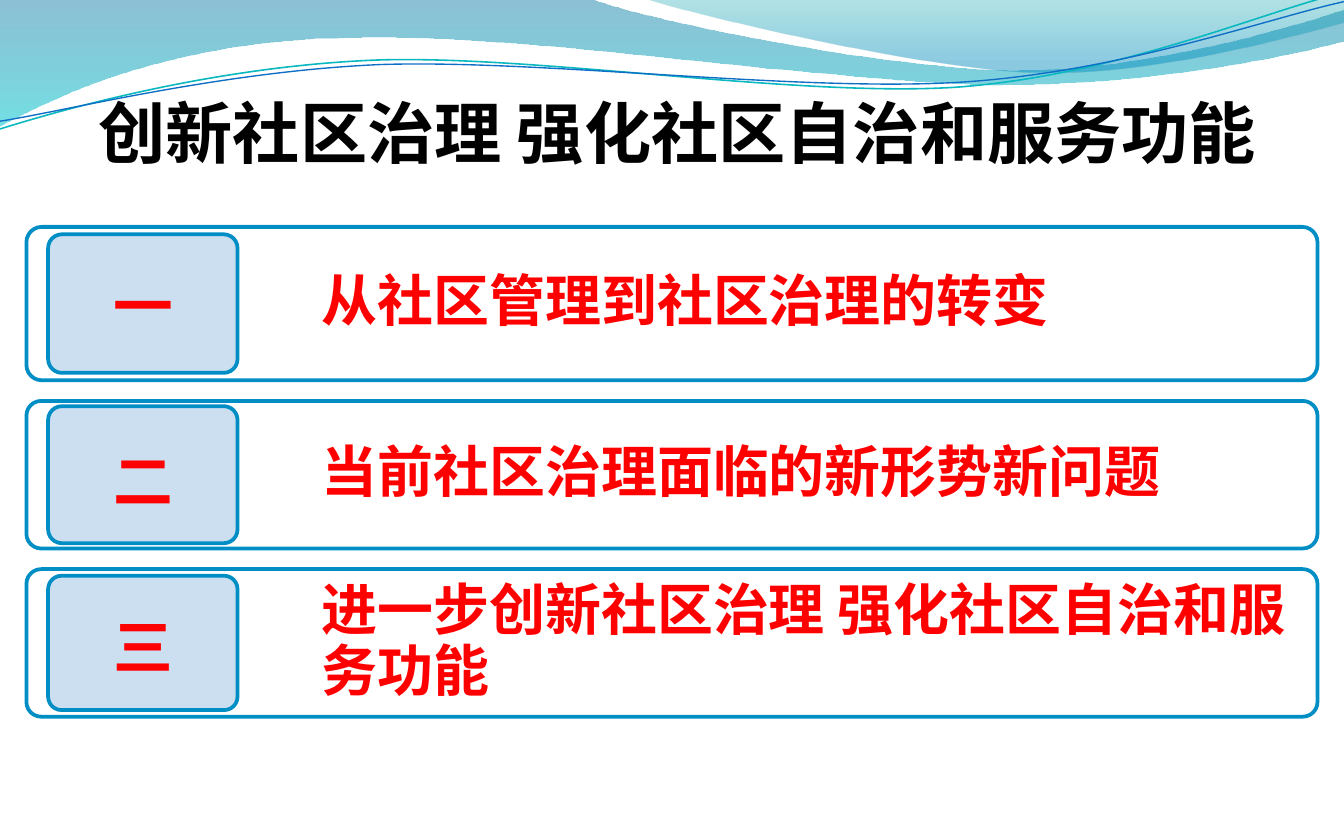
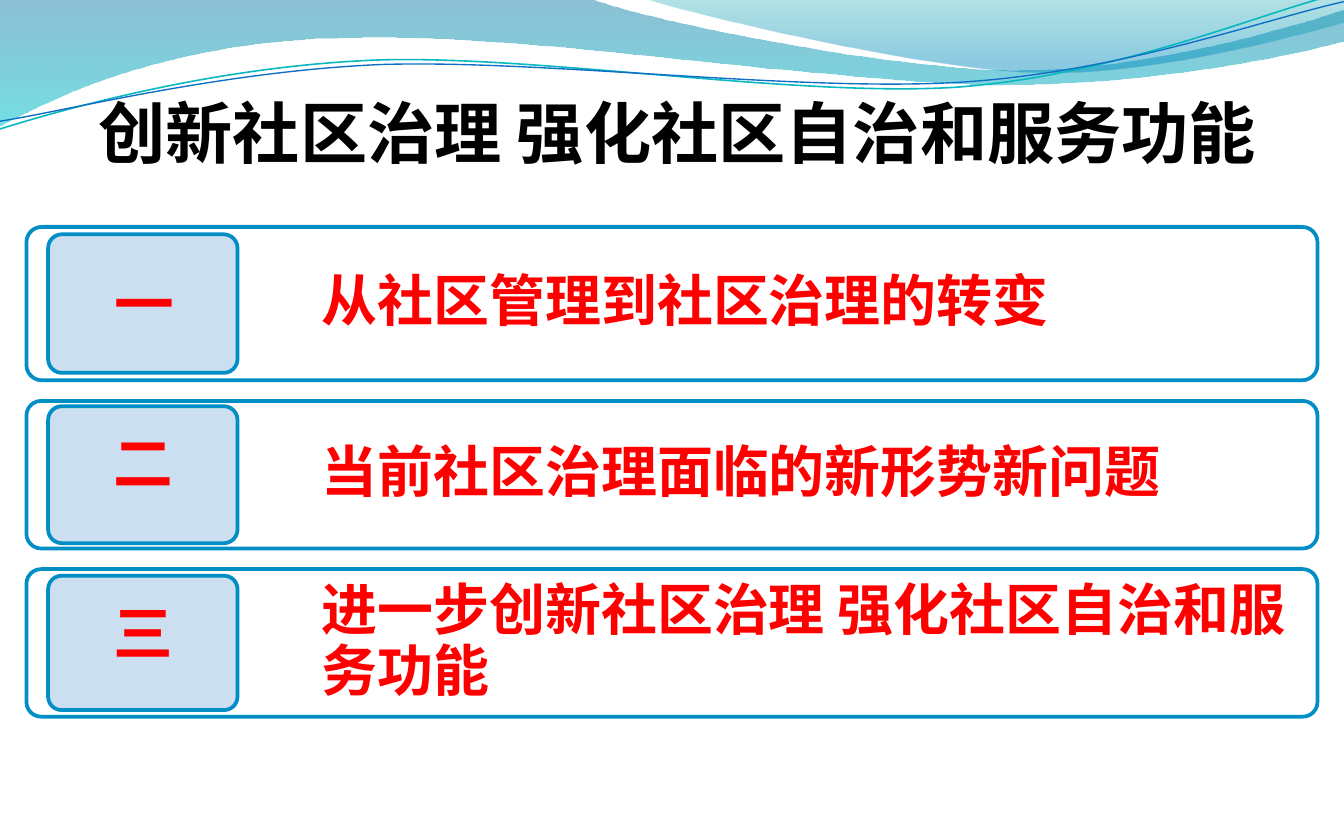
import math
from dataclasses import dataclass

import lxml.etree
import pptx
import pptx.dml.color
import pptx.enum.shapes
import pptx.enum.text
import pptx.oxml.ns
import pptx.util
from pptx.util import Cm, Pt

qn = pptx.oxml.ns.qn


@dataclass(frozen=True)
class Theme:
    font: str = "Noto Sans CJK SC"
    title_size: float = 36
    topic_size: float = 30
    numeral_size: float = 32
    title_color: str = "000000"
    accent: str = "FF0000"
    outline: str = "008EC5"
    panel_fill: str = "FFFFFF"
    badge_fill: str = "CCDFF1"
    outline_width: float = 2
    teal_strand: str = "0AB8BF"
    blue_strand: str = "0F6FC6"
    # gradient stops: position, colour, opacity in percent
    wide_wave: tuple = ((0, "0074A1", 45), (1, "00C6CF", 55))
    right_wave: tuple = ((0, "00A1A9", 30), (0.8, "008BBF", 45))


THEME = Theme()

TITLE = "创新社区治理 强化社区自治和服务功能"
# numeral, topic, panel height, badge height, numeral box width, numeral wraps
TOPICS = [
    ("一", "从社区管理到社区治理的转变", 2.9, 2.62, 2.39, True),
    ("二", "当前社区治理面临的新形势新问题", 2.79, 2.59, 1.78, True),
    ("三", "进一步创新社区治理 强化社区自治和服务功能", 2.79, 2.54, 1.65, False),
]
# left and top of each numeral, slide by slide
NUMERAL_PLACES = [
    [(1.9, 4.95), (1.9, 8.27), (1.9, 11.4)],
    [(1.92, 4.91), (1.9, 7.93), (1.9, 11.13)],
]
PANEL_LEFT, PANEL_WIDTH, PANEL_TOP, PANEL_GAP = 0.5, 24.4, 4.29, 0.39
BADGE_LEFT, BADGE_WIDTH = 0.91, 3.58
TOPIC_LEFT, TOPIC_WIDTH = 5.77, 19.15
STRAND_ROTATION = 357.3

# Each step is one point (a straight side) or three (a Bezier curve).
WIDE_WAVE = [
    [(0, 0)],
    [(11.18, -0.03)],
    [(12.09, 0.36), (16.87, 1.32), (19.25, 1.32)],
    [(21.67, 1.32), (24.33, 0.53), (25.4, 0.18)],
    [(25.43, 0.76)],
    [(24.97, 0.91), (22.1, 1.6), (18.95, 1.6)],
    [(15.8, 1.6), (9.7, 0.58), (6.53, 0.71)],
    [(3.28, 0.76), (1.17, 1.75), (-0.03, 2.39)],
    [(0, 0)],
]
RIGHT_WAVE = [
    [(12.17, -0.03)],
    [(12.93, 0.23), (17.32, 1.3), (19.53, 1.37)],
    [(21.74, 1.45), (24.41, 0.69), (25.4, 0.43)],
    [(25.4, 0)],
    [(12.17, -0.03)],
]
TEAL_STRAND = [
    [(0, 2.44)],
    [(1.22, 2.06), (4.01, 1.27), (7.04, 1.14)],
    [(10.03, 1.02), (15.04, 1.85), (18.08, 1.65)],
    [(21.16, 1.42), (23.85, 0.23), (25.35, -0.13)],
]
BLUE_STRAND = [
    [(0, 2.29)],
    [(1.19, 2.11), (4.17, 1.35), (7.19, 1.22)],
    [(10.24, 1.12), (15.16, 1.75), (18.21, 1.55)],
    [(21.23, 1.35), (23.9, 0.36), (25.4, 0.03)],
]


def rgb(value):
    return pptx.dml.color.RGBColor.from_string(value)


def turn(point, pivot, degrees):
    """Rotate a point clockwise about a pivot."""
    angle = math.radians(degrees)
    x, y = point[0] - pivot[0], point[1] - pivot[1]
    return (pivot[0] + x * math.cos(angle) - y * math.sin(angle),
            pivot[1] + x * math.sin(angle) + y * math.cos(angle))


def add_outline(slide, steps, close):
    """Add a freeform whose three-point steps become Bezier curves."""
    points = [(Cm(x), Cm(y)) for step in steps for x, y in step]
    builder = slide.shapes.build_freeform(*points[0])
    builder.add_line_segments(points[1:], close=close)
    shape = builder.convert_to_shape()
    shape.shadow.inherit = False
    sides = iter(list(shape._element.spPr.iter(qn("a:lnTo"))))
    for step in steps[1:]:
        group = [next(sides) for _ in step]
        if len(group) == 3:
            curve = lxml.etree.Element(qn("a:cubicBezTo"))
            group[0].addprevious(curve)
            for side in group:
                curve.append(side[0])
                side.getparent().remove(side)
    return shape


def add_wave(slide, steps, stops):
    shape = add_outline(slide, steps, close=True)
    shape.line.fill.background()
    shape.fill.gradient()
    shape.fill.gradient_angle = 270
    for stop, (position, color, _) in zip(shape.fill.gradient_stops, stops):
        stop.position = position
        stop.color.rgb = rgb(color)
    colors = list(shape._element.spPr.iter(qn("a:srgbClr")))
    for element, (_, _, opacity) in zip(colors, stops):
        lxml.etree.SubElement(element, qn("a:alpha"), val=str(opacity * 1000))


def add_strand(slide, steps, pivot, color, width):
    """Add an open curve, laid level and then rotated into place."""
    level = [[turn(point, pivot, -STRAND_ROTATION) for point in step] for step in steps]
    shape = add_outline(slide, level, close=False)
    shape.rotation = STRAND_ROTATION
    shape.fill.background()
    shape.line.color.rgb = rgb(color)
    shape.line.width = Pt(width)


def add_waves(slide):
    add_wave(slide, WIDE_WAVE, THEME.wide_wave)
    add_wave(slide, RIGHT_WAVE, THEME.right_wave)
    add_strand(slide, TEAL_STRAND, (12.68, 1.23), THEME.teal_strand, 0.85)
    add_strand(slide, BLUE_STRAND, (12.69, 1.24), THEME.blue_strand, 0.75)


def add_text(slide, box, text, size, color, margins=None,
             anchor=pptx.enum.text.MSO_ANCHOR.TOP):
    """Add one bold paragraph; margins are left, top, right, bottom in cm."""
    text_box = slide.shapes.add_textbox(*map(Cm, box))
    frame = text_box.text_frame
    frame.word_wrap = True
    frame.vertical_anchor = anchor
    if margins:
        (frame.margin_left, frame.margin_top,
         frame.margin_right, frame.margin_bottom) = map(Cm, margins)
    paragraph = frame.paragraphs[0]
    paragraph.text = text
    font = paragraph.font
    font.size = Pt(size)
    font.bold = True
    font.color.rgb = rgb(color)
    font.name = THEME.font
    lxml.etree.SubElement(font._element, qn("a:ea"), typeface=THEME.font)
    return frame


def add_title(slide):
    frame = add_text(slide, (1.1, 0.43, 23.4, 2.82), TITLE, THEME.title_size,
                     THEME.title_color, (0, 0.13, 0, 0),
                     pptx.enum.text.MSO_ANCHOR.BOTTOM)
    frame.paragraphs[0].alignment = pptx.enum.text.PP_ALIGN.CENTER


def add_rounded_box(slide, box, fill):
    shape = slide.shapes.add_shape(
        pptx.enum.shapes.MSO_SHAPE.ROUNDED_RECTANGLE, *map(Cm, box))
    shape.adjustments[0] = 0.1
    shape.shadow.inherit = False
    shape.fill.solid()
    shape.fill.fore_color.rgb = rgb(fill)
    shape.line.color.rgb = rgb(THEME.outline)
    shape.line.width = Pt(THEME.outline_width)


def add_topics(slide):
    top = PANEL_TOP
    for _, topic, height, badge_height, _, _ in TOPICS:
        add_rounded_box(slide, (PANEL_LEFT, top, PANEL_WIDTH, height), THEME.panel_fill)
        frame = add_text(slide, (TOPIC_LEFT, top, TOPIC_WIDTH, height), topic,
                         THEME.topic_size, THEME.accent, (0.3, 0.3, 0.3, 0.3),
                         pptx.enum.text.MSO_ANCHOR.MIDDLE)
        frame.paragraphs[0].line_spacing = 0.9
        badge_top = top + (height - badge_height) / 2
        add_rounded_box(slide, (BADGE_LEFT, badge_top, BADGE_WIDTH, badge_height),
                        THEME.badge_fill)
        top += height + PANEL_GAP


def add_numerals(slide, places):
    for (numeral, _, _, _, width, wraps), (left, top) in zip(TOPICS, places):
        frame = add_text(slide, (left, top, width, 1.63), numeral,
                         THEME.numeral_size, THEME.accent)
        frame.word_wrap = wraps
        frame.auto_size = pptx.enum.text.MSO_AUTO_SIZE.SHAPE_TO_FIT_TEXT


def main():
    presentation = pptx.Presentation()
    presentation.slide_width = Cm(25.4)
    presentation.slide_height = Cm(15.88)
    for places in NUMERAL_PLACES:
        slide = presentation.slides.add_slide(presentation.slide_layouts[6])
        add_waves(slide)
        add_title(slide)
        add_topics(slide)
        add_numerals(slide, places)
    presentation.save("out.pptx")


if __name__ == "__main__":
    main()
